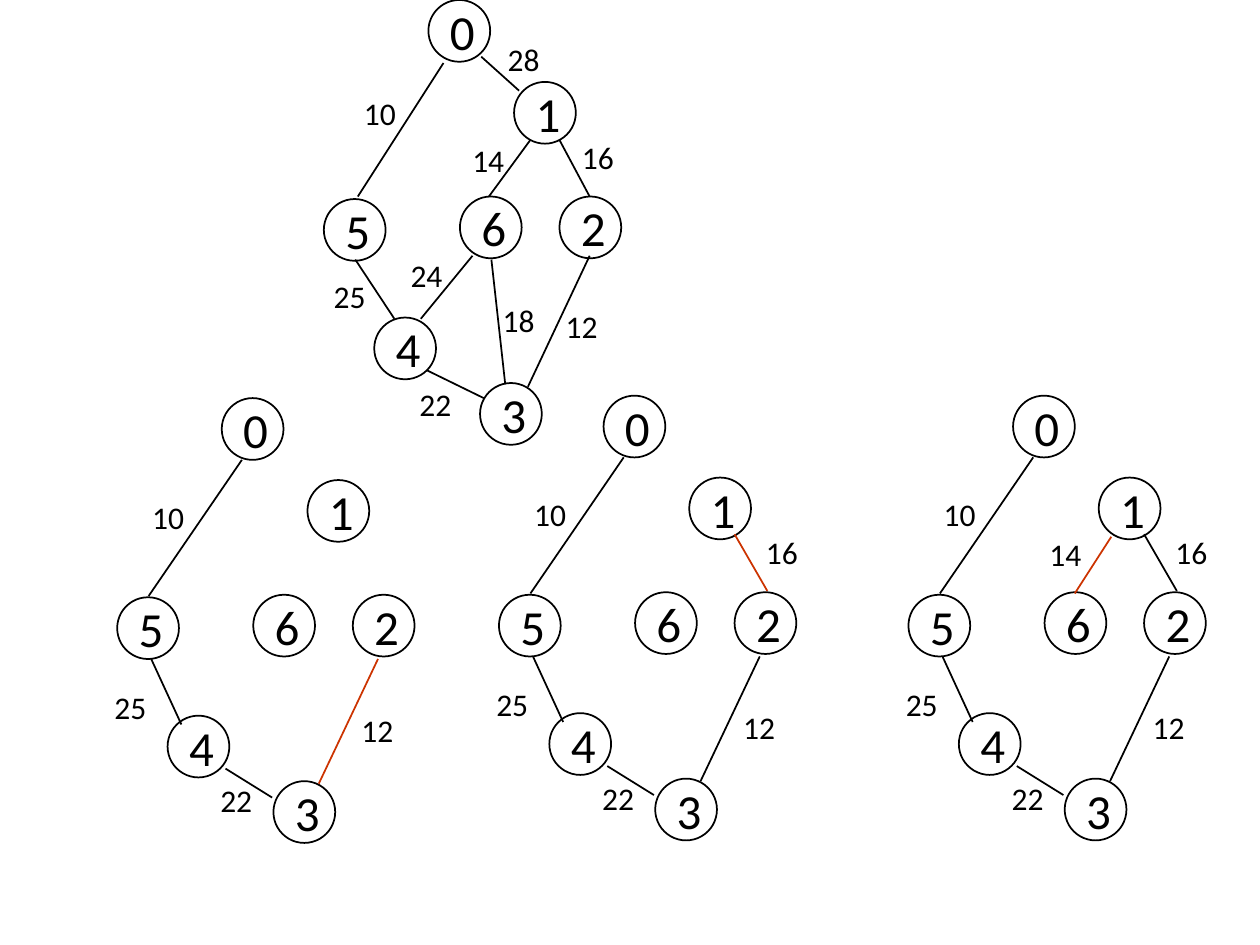
from lxml import etree
from pptx import Presentation
from pptx.dml.color import RGBColor
from pptx.enum.shapes import MSO_CONNECTOR, MSO_SHAPE
from pptx.enum.text import MSO_ANCHOR, MSO_AUTO_SIZE, PP_ALIGN
from pptx.oxml.ns import qn
from pptx.util import Inches, Pt

OVAL = MSO_SHAPE.OVAL
LINE = MSO_CONNECTOR.STRAIGHT
LEFT = PP_ALIGN.LEFT
TOP, MIDDLE = MSO_ANCHOR.TOP, MSO_ANCHOR.MIDDLE
FIXED, GROW = MSO_AUTO_SIZE.NONE, MSO_AUTO_SIZE.SHAPE_TO_FIT_TEXT

COLORS = {"ink": "000000", "paper": "FFFFFF", "new": "CC3300"}
WIDE, HIGH = Inches(10), Inches(7.5)
COL, ROW = WIDE / 100, HIGH / 75
NODE = 4.9
TAG = (4.8, 4.3)

NODES = [(8.3, 0), (15.1, 6.5), (18.7, 15.6), (12.4, 30.4),
         (4, 25.2), (0, 15.8), (10.8, 15.6)]

# weight: start, end, label
GRAPH = {
    10: ((9.5, 5), (2.7, 15.6), (2.2, 7)),
    28: ((12.5, 4.5), (15.5, 7.2), (13.6, 2.7)),
    16: ((18.7, 11.1), (21.1, 15.6), (19.5, 10.5)),
    14: ((16.4, 11.1), (13.1, 15.6), (10.8, 10.7)),
    12: ((21.1, 20.3), (16.2, 30.7), (18.2, 23.9)),
    18: ((13.3, 20.6), (14.4, 30.5), (13.2, 23.4)),
    24: ((11.8, 20.3), (7.7, 25.3), (5.9, 19.8)),
    25: ((2.5, 20.6), (5.6, 25.3), (-0.2, 21.5)),
    22: ((8.2, 29.4), (12.7, 31.6), (6.6, 30.1)),
}
TREE = {
    10: ((9.9, 4.9), (2.5, 15.7), (1.8, 7.4)),
    25: ((2.7, 20.7), (5.1, 25.9), (-1.2, 22.5)),
    22: ((8.6, 29.4), (12.3, 31.7), (7.2, 29.9)),
    12: ((20.7, 20.7), (16, 30.6), (18.4, 24.3)),
    16: ((21.3, 15.5), (18.7, 11), (20.2, 10.4)),
    14: ((16.1, 11.2), (13.2, 15.7), (10.2, 10.6)),
}
STEPS = [((9.3, 31.6), 4), ((39.6, 31.4), 5), ((72.1, 31.4), 6)]


def color(name):
    return RGBColor.from_string(COLORS[name])


def place(box, spot):
    return round((box[0] + spot[0]) * COL), round((box[1] + spot[1]) * ROW)


def write(shape, text, size=18, anchor=TOP, fit=GROW):
    frame = shape.text_frame
    frame.word_wrap = False
    frame.auto_size = fit
    frame.vertical_anchor = anchor
    para = frame.paragraphs[0]
    para.alignment = LEFT
    run = para.add_run()
    run.text = str(text)
    run.font.name = "Calibri"
    run.font.size = Pt(size)
    run.font.color.rgb = color("ink")


def draw_nodes(slide, box):
    group = slide.shapes.add_group_shape()
    for key, spot in enumerate(NODES):
        node = group.shapes.add_shape(
            OVAL, *place(box, spot), round(NODE * COL), round(NODE * ROW))
        node.shadow.inherit = False
        node.fill.solid()
        node.fill.fore_color.rgb = color("paper")
        node.line.color.rgb = color("ink")
        node.line.width = Pt(1)
        write(node, key, size=28, anchor=MIDDLE, fit=FIXED)


def draw_edge(slide, box, weight, edge, tint):
    start, end, spot = edge
    line = slide.shapes.add_connector(LINE, *place(box, start), *place(box, end))
    line.line.color.rgb = color(tint)
    line.line.width = Pt(1)
    etree.SubElement(line._element.spPr, qn("a:effectLst"))
    tag = slide.shapes.add_textbox(
        *place(box, spot), round(TAG[0] * COL), round(TAG[1] * ROW))
    write(tag, weight)


def draw_graph(slide, box, edges, fresh=None):
    draw_nodes(slide, box)
    for weight, edge in edges.items():
        draw_edge(slide, box, weight, edge, "new" if weight == fresh else "ink")


def main():
    deck = Presentation()
    deck.slide_width, deck.slide_height = WIDE, HIGH
    slide = deck.slides.add_slide(deck.slide_layouts[6])
    for box, count in STEPS:
        edges = dict(list(TREE.items())[:count])
        draw_graph(slide, box, edges, fresh=list(edges)[-1])
    draw_graph(slide, (25.7, 0), GRAPH)
    deck.save("out.pptx")


if __name__ == "__main__":
    main()
